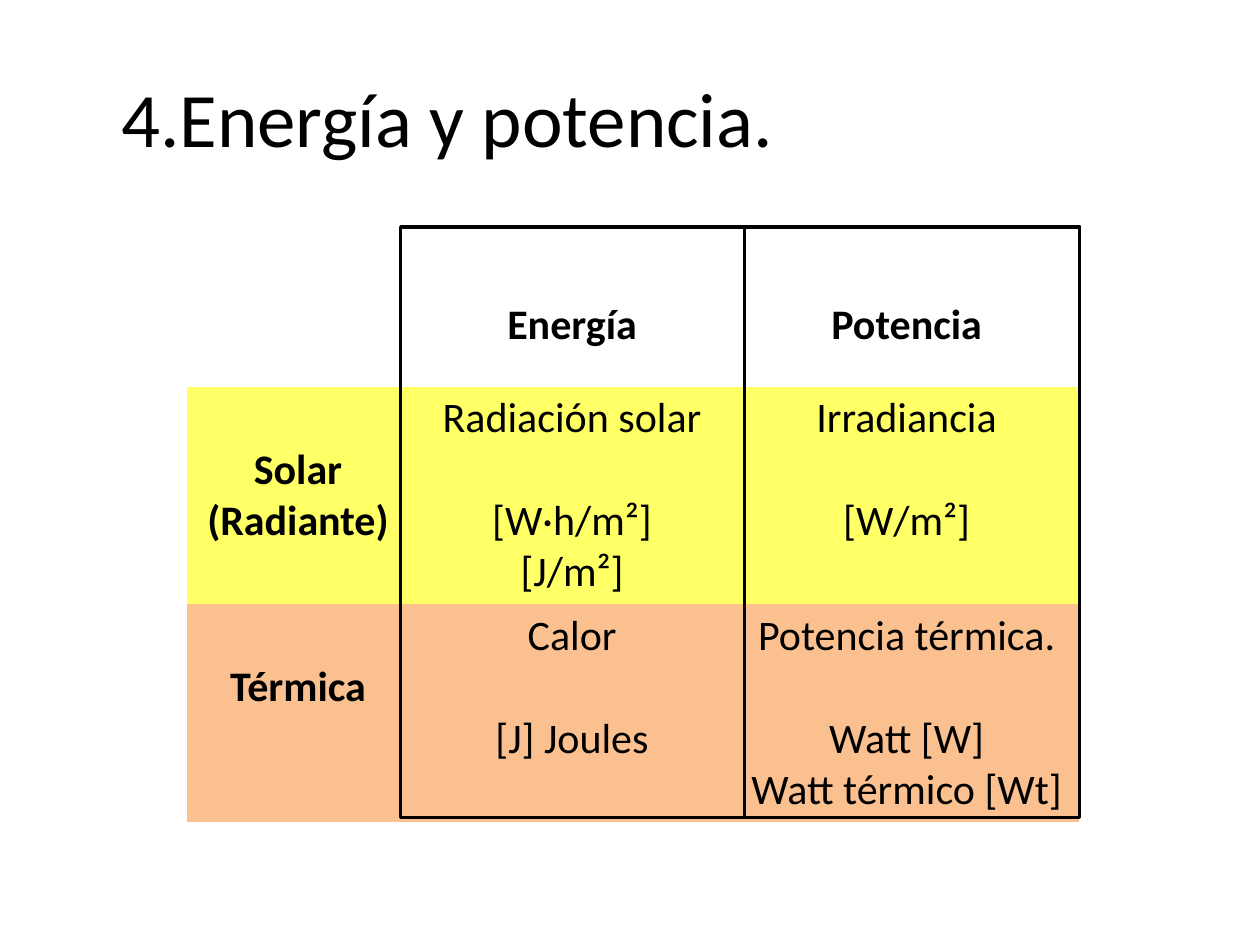
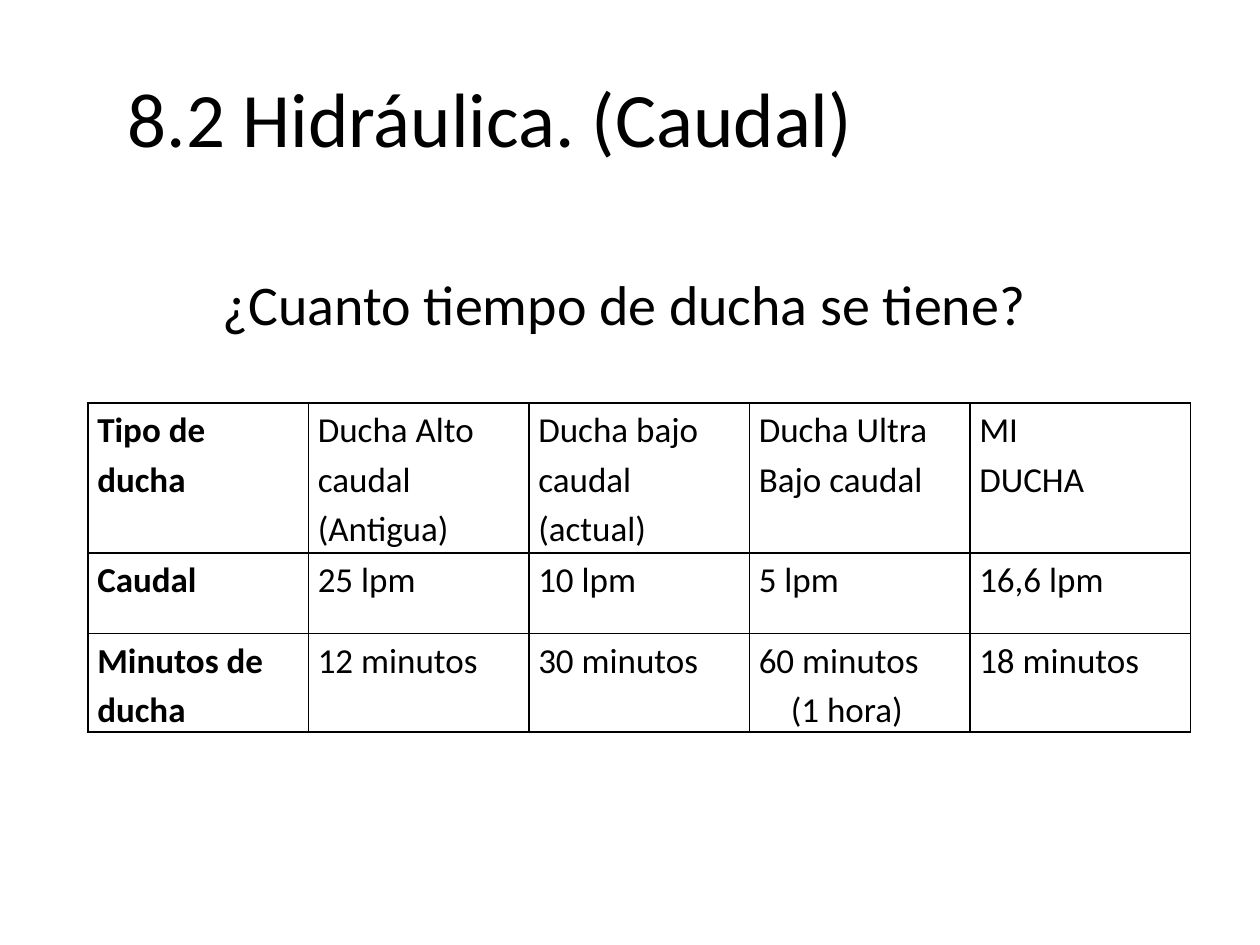
from lxml.etree import SubElement
from pptx import Presentation
from pptx.dml.color import RGBColor
from pptx.enum.shapes import MSO_SHAPE as Shape
from pptx.enum.text import MSO_ANCHOR as Anchor, PP_ALIGN as Align
from pptx.oxml.ns import qn
from pptx.util import Pt

FONT = "Calibri"
BLACK, YELLOW, ORANGE = "000000", "FFFF66", "FAC090"
NO_STYLE = "{2D5ABB26-0587-4C30-8999-92F81FD0307C}"
TITLE_ONLY = 5


def color(hex_string):
    return RGBColor.from_string(hex_string)


def write(text_frame, lines, size, align=Align.LEFT, bold=False):
    for index, line in enumerate(lines):
        paragraph = text_frame.add_paragraph() if index else text_frame.paragraphs[0]
        paragraph.alignment = align
        run = paragraph.add_run()
        run.text = line
        run.font.name = FONT
        run.font.size = Pt(size)
        run.font.bold = bold
        run.font.color.rgb = color(BLACK)


presentation = Presentation()
presentation.slide_width, presentation.slide_height = Pt(720), Pt(540)

# Slides, titles and empty tables: title, left, width, indent, table place, columns, rows
layouts = [
    ("4.Energía y potencia.", 62, 622, 7.2, (106.6, 138.2),
     [127.4, 185.8, 196.6], [82.8, 124.4, 124.4]),
    ("8.2 Hidráulica. (Caudal)", 36, 648, 37, (50.4, 230.4),
     [126] * 5, [85.7, 45.8, 55.4]),
]
slides, tables = [], []
for title_text, left, width, indent, place, columns, rows in layouts:
    slide = presentation.slides.add_slide(presentation.slide_layouts[TITLE_ONLY])
    title = slide.shapes.title
    title.left, title.top, title.width, title.height = Pt(left), Pt(21.6), Pt(width), Pt(90)
    title.text_frame.margin_left = Pt(indent)
    title.text_frame.vertical_anchor = Anchor.MIDDLE
    write(title.text_frame, [title_text], 44)

    table = slide.shapes.add_table(len(rows), len(columns), Pt(place[0]), Pt(place[1]),
                                   Pt(sum(columns)), Pt(sum(rows))).table
    table.first_row = table.horz_banding = False
    table._tbl.tblPr.find(qn("a:tableStyleId")).text = NO_STYLE
    for column, column_width in zip(table.columns, columns):
        column.width = Pt(column_width)
    for row, row_height in zip(table.rows, rows):
        row.height = Pt(row_height)
    slides.append(slide)
    tables.append(table)

energy_slide, shower_slide = slides
energy_table, shower_table = tables

# Energy and power: headings sit one line lower, units one line below the quantity
LINE = 29.3
energy_rows = [
    (None, [[], ["Energía"], ["Potencia"]]),
    (YELLOW, [["Solar (Radiante)"],
              ["Radiación solar", "[W·h/m²]", "[J/m²]"],
              ["Irradiancia", "[W/m²]"]]),
    (ORANGE, [["Térmica"],
              ["Calor", "[J] Joules"],
              ["Potencia térmica.", "Watt [W]", "Watt térmico [Wt]"]]),
]
for row_index, (fill, row_cells) in enumerate(energy_rows):
    for column_index, lines in enumerate(row_cells):
        cell = energy_table.cell(row_index, column_index)
        heading = row_index == 0 or column_index == 0
        if fill:
            cell.fill.solid()
            cell.fill.fore_color.rgb = color(fill)
        else:
            cell.fill.background()
        cell.margin_top = Pt(3.6 + LINE * heading)
        write(cell.text_frame, lines, 24, Align.CENTER, heading)
        if len(lines) > 1:
            cell.text_frame.paragraphs[1].space_before = Pt(LINE)

# Frames around the two value columns
for left, width in [(229, 196.6), (425.6, 191.4)]:
    frame = energy_slide.shapes.add_shape(Shape.RECTANGLE, Pt(left), Pt(129.6),
                                          Pt(width), Pt(337.6))
    frame.shadow.inherit = False
    frame.fill.background()
    frame.line.color.rgb = color(BLACK)
    frame.line.width = Pt(2)

# Shower question
question = shower_slide.shapes.add_textbox(Pt(16.6), Pt(150.5), Pt(680.4), Pt(46))
question.text_frame.word_wrap = True
write(question.text_frame, ["¿Cuanto tiempo de ducha se tiene?"], 32, Align.CENTER)

# Shower table with a thin black grid
shower_rows = [
    [["Tipo de ducha"], ["Ducha Alto caudal (Antigua)"], ["Ducha bajo caudal (actual)"],
     ["Ducha Ultra Bajo caudal"], ["MI", "DUCHA"]],
    [["Caudal"], ["25 lpm"], ["10 lpm"], ["5 lpm"], ["16,6 lpm"]],
    [["Minutos de ducha"], ["12 minutos"], ["30 minutos"],
     ["60 minutos", "(1 hora)"], ["18 minutos"]],
]
for row_index, row_cells in enumerate(shower_rows):
    for column_index, lines in enumerate(row_cells):
        cell = shower_table.cell(row_index, column_index)
        cell.margin_left = cell.margin_right = Pt(5.2)
        cell.margin_top = cell.margin_bottom = Pt(0)
        write(cell.text_frame, lines, 20, bold=column_index == 0)
        for paragraph in cell.text_frame.paragraphs:
            paragraph.line_spacing = 1.15
        properties = cell._tc.get_or_add_tcPr()
        for side in ("lnL", "lnR", "lnT", "lnB"):
            border = SubElement(properties, qn(f"a:{side}"), w=str(Pt(1)))
            border_fill = SubElement(border, qn("a:solidFill"))
            SubElement(border_fill, qn("a:srgbClr"), val=BLACK)
        cell.fill.background()

# The hour note is indented under its minutes
hour_note = shower_table.cell(2, 3).text_frame.paragraphs[1]
hour_note._p.get_or_add_pPr().set("marL", str(Pt(18.3)))

presentation.save("out.pptx")
